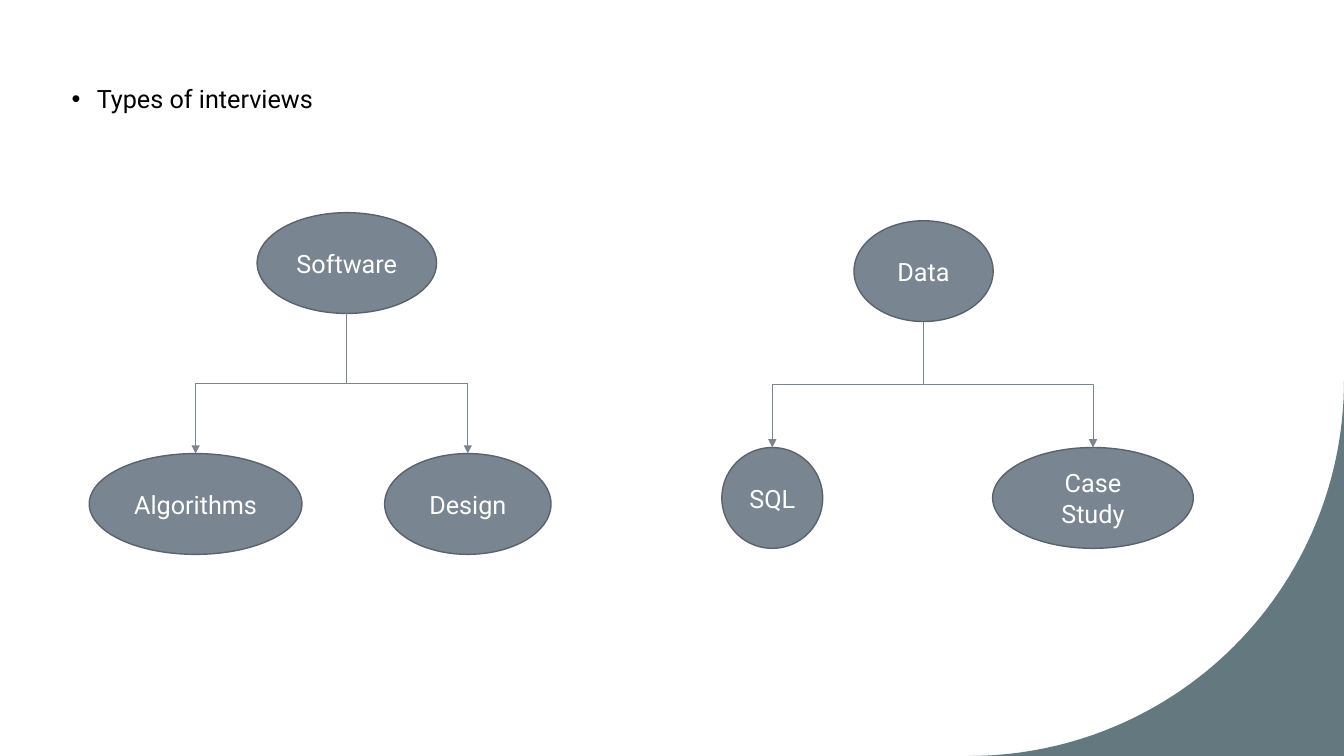
"""Build a slide showing two trees of interview types."""
from math import cos, pi, sin

from lxml.etree import SubElement
from pptx import Presentation
from pptx.dml.color import RGBColor
from pptx.enum.shapes import MSO_CONNECTOR as Connector, MSO_SHAPE as Shape
from pptx.enum.text import MSO_ANCHOR as Anchor, PP_ALIGN as Align
from pptx.oxml.ns import qn
from pptx.util import Inches, Pt

WIDTH, HEIGHT = 13.33, 7.5
NODE_HEIGHT = 1
CORNER_RADIUS = 3.72
CORNER_STEPS = 60
FONT = "Roboto"
SLATE, OUTLINE, TEAL = "7A8592", "5A626C", "63787F"
WHITE, BLACK = "FFFFFF", "000000"

HEADING = "Types of interviews"
# Each node is (label, centre, width).
TREES = [
    {"root": ("Software", 3.44, 1.78), "root_top": 2.11, "leaf_top": 4.5,
     "leaves": [("Algorithms", 1.94, 2.11), ("Design", 4.64, 1.65)]},
    {"root": ("Data", 9.16, 1.38), "root_top": 2.19, "leaf_top": 4.44,
     "leaves": [("SQL", 7.66, 1), ("Case Study", 10.84, 1.99)]},
]


def color(hex_string):
    return RGBColor.from_string(hex_string)


def style_text(para, hex_string):
    para.font.name = FONT
    para.font.size = Pt(18)
    para.font.color.rgb = color(hex_string)


def add_corner(slide):
    center_x, center_y = WIDTH - CORNER_RADIUS, HEIGHT - CORNER_RADIUS
    angles = [pi / 2 * step / CORNER_STEPS for step in range(CORNER_STEPS + 1)]
    arc = [(Inches(center_x + CORNER_RADIUS * cos(angle)),
            Inches(center_y + CORNER_RADIUS * sin(angle))) for angle in angles]
    builder = slide.shapes.build_freeform(*arc[0])
    builder.add_line_segments(arc[1:] + [(Inches(WIDTH), Inches(HEIGHT))])
    corner = builder.convert_to_shape()
    corner.shadow.inherit = False
    corner.fill.solid()
    corner.fill.fore_color.rgb = color(TEAL)
    corner.line.fill.background()


def add_heading(slide):
    body = slide.placeholders[1]
    body.left, body.top = Inches(0.61), Inches(0.72)
    body.width, body.height = Inches(10.88), Inches(5.77)
    para = body.text_frame.paragraphs[0]
    para.text = HEADING
    para.line_spacing = 1.2
    para.space_before = Pt(10)
    style_text(para, BLACK)
    properties = para._p.get_or_add_pPr()
    properties.set("marL", str(Inches(0.25)))
    properties.set("indent", str(-Inches(0.25)))
    SubElement(properties, qn("a:buChar"), char="•")


def add_node(slide, node, top):
    label, center, width = node
    oval = slide.shapes.add_shape(
        Shape.OVAL, Inches(center - width / 2), Inches(top), Inches(width), Inches(NODE_HEIGHT))
    oval.shadow.inherit = False
    oval.fill.solid()
    oval.fill.fore_color.rgb = color(SLATE)
    oval.line.color.rgb = color(OUTLINE)
    oval.line.width = Pt(1)
    oval.text_frame.word_wrap = True
    oval.text_frame.vertical_anchor = Anchor.MIDDLE
    para = oval.text_frame.paragraphs[0]
    para.text = label
    para.alignment = Align.CENTER
    style_text(para, WHITE)


def add_branch(slide, start_x, start_y, end_x, end_y):
    """Draw an elbow that leaves downwards, as a sideways elbow turned a quarter."""
    drop, run = end_y - start_y, abs(end_x - start_x)
    middle_x, middle_y = (start_x + end_x) / 2, (start_y + end_y) / 2
    left, right = middle_x - drop / 2, middle_x + drop / 2
    goes_left = end_x < start_x
    begin, end = (left, right) if goes_left else (right, left)
    branch = slide.shapes.add_connector(
        Connector.ELBOW, Inches(begin), Inches(middle_y - run / 2),
        Inches(end), Inches(middle_y + run / 2))
    branch.line.color.rgb = color(SLATE)
    branch.line.width = Pt(0.5)
    properties = branch._element.spPr
    quarter_turns = 1 if goes_left else 3
    properties.find(qn("a:xfrm")).set("rot", str(quarter_turns * 90 * 60000))
    SubElement(properties.find(qn("a:ln")), qn("a:tailEnd"), type="triangle")
    SubElement(properties, qn("a:effectLst"))


def add_tree(slide, tree):
    root, root_top, leaf_top = tree["root"], tree["root_top"], tree["leaf_top"]
    add_node(slide, root, root_top)
    for leaf in tree["leaves"]:
        add_node(slide, leaf, leaf_top)
        add_branch(slide, root[1], root_top + NODE_HEIGHT, leaf[1], leaf_top)


def main():
    deck = Presentation()
    deck.slide_width, deck.slide_height = Inches(WIDTH), Inches(HEIGHT)
    slide = deck.slides.add_slide(deck.slide_layouts[1])
    title = slide.shapes.title._element
    title.getparent().remove(title)
    add_corner(slide)
    add_heading(slide)
    for tree in TREES:
        add_tree(slide, tree)
    deck.save("out.pptx")


if __name__ == "__main__":
    main()
